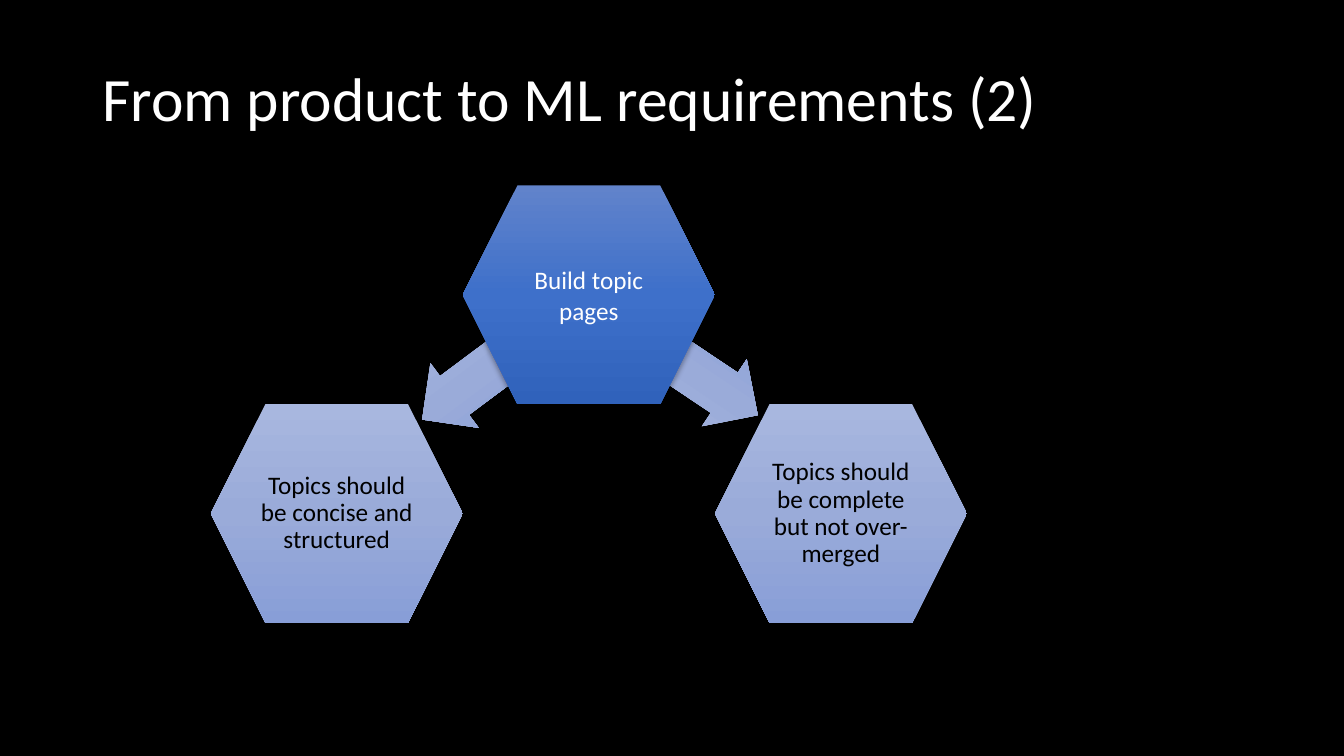
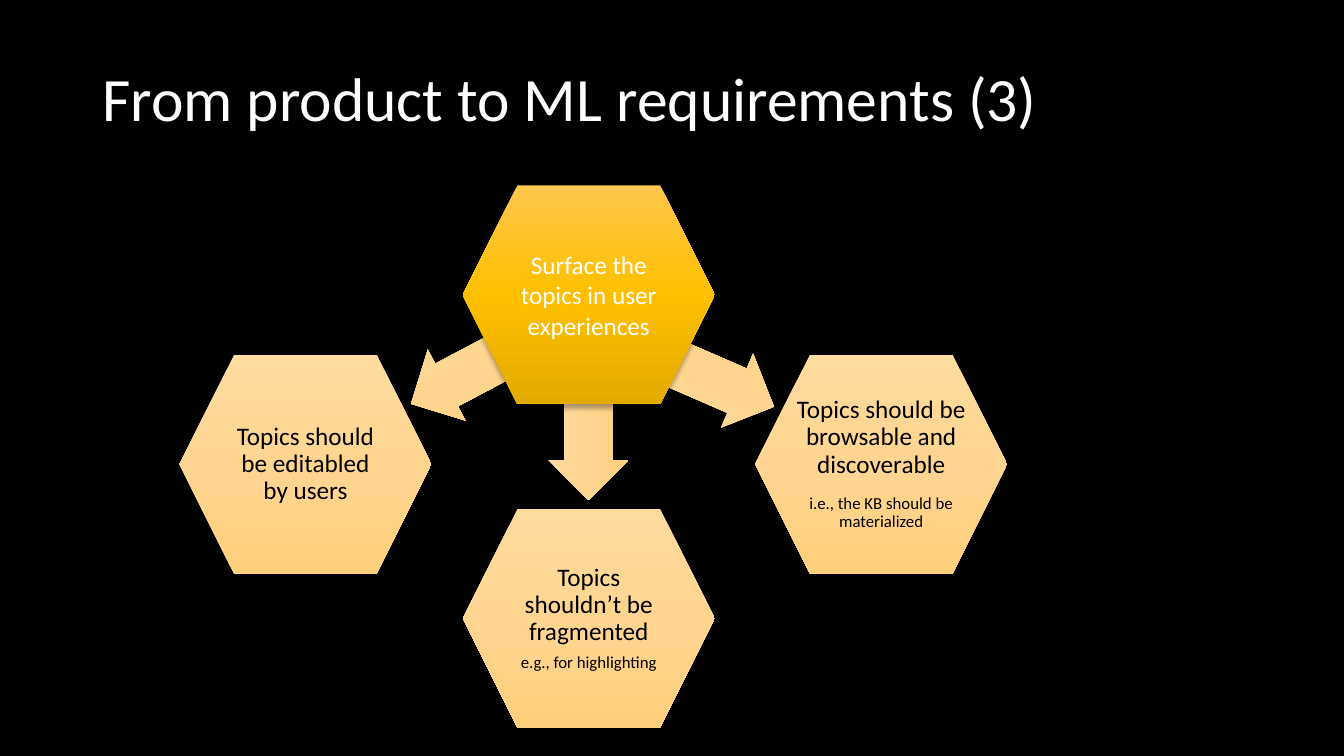
import pptx
import pptx.util
import pptx.dml.color
import pptx.enum.shapes
import pptx.enum.text
import pptx.oxml
import pptx.oxml.ns

Inches, Pt = pptx.util.Inches, pptx.util.Pt
RGBColor = pptx.dml.color.RGBColor
Shapes = pptx.enum.shapes.MSO_SHAPE

BLACK = RGBColor(0x00, 0x00, 0x00)
WHITE = RGBColor(0xFF, 0xFF, 0xFF)
# Gradients from top to bottom: strong for the goal, pale for its requirements
BLUE = [RGBColor(0x61, 0x83, 0xCB), RGBColor(0x3E, 0x70, 0xCA), RGBColor(0x30, 0x62, 0xBB)]
PALE_BLUE = [RGBColor(0xA8, 0xB7, 0xDF), RGBColor(0x9A, 0xAB, 0xD9), RGBColor(0x88, 0x9E, 0xD7)]
GOLD = [RGBColor(0xFF, 0xC6, 0x4B), RGBColor(0xFF, 0xC0, 0x00), RGBColor(0xE3, 0xAB, 0x00)]
PALE_GOLD = [RGBColor(0xFF, 0xDB, 0x9E), RGBColor(0xFF, 0xD5, 0x90), RGBColor(0xFF, 0xD0, 0x7C)]

FONT = "Calibri"
HEX_W, HEX_H = 2.5, 2.17
GOAL_LEFT, GOAL_TOP = 4.59, 1.84
ARROW_H = 0.8
NS = pptx.oxml.ns.nsdecls("a")


def style_shape(shape, colors):
    """Three-stop vertical gradient, no outline, soft shadow below."""
    shape.line.fill.background()
    shape.shadow.inherit = False
    stops = "".join(
        f'<a:gs pos="{i * 50000}"><a:srgbClr val="{color}"/></a:gs>'
        for i, color in enumerate(colors))
    gradient = pptx.oxml.parse_xml(
        f'<a:gradFill {NS} rotWithShape="1"><a:gsLst>{stops}</a:gsLst>'
        '<a:lin ang="5400000" scaled="0"/></a:gradFill>')
    shadow = pptx.oxml.parse_xml(
        f'<a:outerShdw {NS} blurRad="{Pt(3.5)}" dist="{Pt(2.2)}" dir="5400000" '
        f'algn="ctr" rotWithShape="0"><a:srgbClr val="{BLACK}">'
        '<a:alpha val="32000"/></a:srgbClr></a:outerShdw>')
    properties = shape._element.spPr
    properties.find(pptx.oxml.ns.qn("a:ln")).addprevious(gradient)
    properties.find(pptx.oxml.ns.qn("a:effectLst")).append(shadow)


def add_run(paragraph, text, size, color):
    run = paragraph.add_run()
    run.text = text
    run.font.name = FONT
    run.font.size = Pt(size)
    run.font.color.rgb = color


def prepare_frame(shape):
    frame = shape.text_frame
    frame.word_wrap = True
    frame.vertical_anchor = pptx.enum.text.MSO_ANCHOR.MIDDLE
    return frame


def add_title(slide, text):
    box = slide.shapes.add_textbox(Inches(0.92), Inches(0.28), Inches(11.5), Inches(1.45))
    paragraph = prepare_frame(box).paragraphs[0]
    paragraph.line_spacing = 0.9
    add_run(paragraph, text, 44, WHITE)


def add_hexagon(slide, left, top, colors, text_color, text,
                note=None, note_gap=0, side_margin=0.1, tight=True):
    hexagon = slide.shapes.add_shape(
        Shapes.HEXAGON, Inches(left), Inches(top), Inches(HEX_W), Inches(HEX_H))
    style_shape(hexagon, colors)
    frame = prepare_frame(hexagon)
    frame.margin_left = frame.margin_right = Inches(side_margin)
    lines = [(text, 18)] + ([(note, 12)] if note else [])
    for i, (line, size) in enumerate(lines):
        paragraph = frame.add_paragraph() if i else frame.paragraphs[0]
        paragraph.alignment = pptx.enum.text.PP_ALIGN.CENTER
        if tight:
            paragraph.line_spacing = 0.9
        if i:
            paragraph.space_before = Pt(note_gap)
        add_run(paragraph, line, size, text_color)


def add_arrow(slide, left, top, length, rotation, colors):
    arrow = slide.shapes.add_shape(
        Shapes.LEFT_ARROW, Inches(left), Inches(top), Inches(length), Inches(ARROW_H))
    arrow.adjustments[0] = 0.6
    arrow.adjustments[1] = 0.5
    arrow.rotation = rotation
    style_shape(arrow, colors)


def add_goal_slide(prs, title, goal, strong, pale, arrows, requirements):
    """Goal hexagon on top, arrows behind it, requirements placed relative to it."""
    slide = prs.slides.add_slide(prs.slide_layouts[6])
    slide.background.fill.solid()
    slide.background.fill.fore_color.rgb = BLACK
    for arrow in arrows:
        add_arrow(slide, *arrow, pale)
    add_title(slide, title)
    add_hexagon(slide, GOAL_LEFT, GOAL_TOP, strong, WHITE, goal, tight=False)
    for dx, dy, text, options in requirements:
        add_hexagon(slide, GOAL_LEFT + dx, GOAL_TOP + dy, pale, BLACK, text, **options)


def main():
    prs = pptx.Presentation()
    prs.slide_width, prs.slide_height = Inches(13.33), Inches(7.5)

    # Topic pages
    add_goal_slide(
        prs, "From product to ML requirements (2)", "Build topic pages", BLUE, PALE_BLUE,
        arrows=[(4.07, 3.41, 1.18, 323.3), (6.5, 3.41, 1.11, 213.8)],
        requirements=[
            (-HEX_W, HEX_H, "Topics should be concise and structured", {}),
            (HEX_W, HEX_H, "Topics should be complete but not over-merged", {}),
        ])

    # User experiences
    add_goal_slide(
        prs, "From product to ML requirements (3)", "Surface the topics in user experiences",
        GOLD, PALE_GOLD,
        arrows=[(6.45, 3.38, 1.28, 203.5), (4, 3.3, 1.31, 332.1), (5.28, 4.01, 1.11, 270)],
        requirements=[
            (-2.81, 1.68, "Topics should be editabled by users", {}),
            (0, 3.21, "Topics shouldn’t be fragmented",
             {"note": "e.g., for highlighting", "note_gap": 6}),
            (2.9, 1.68, "Topics should be browsable and discoverable",
             {"note": "i.e., the KB should be materialized", "note_gap": 12,
              "side_margin": 0.02}),
        ])

    prs.save("out.pptx")


if __name__ == "__main__":
    main()
